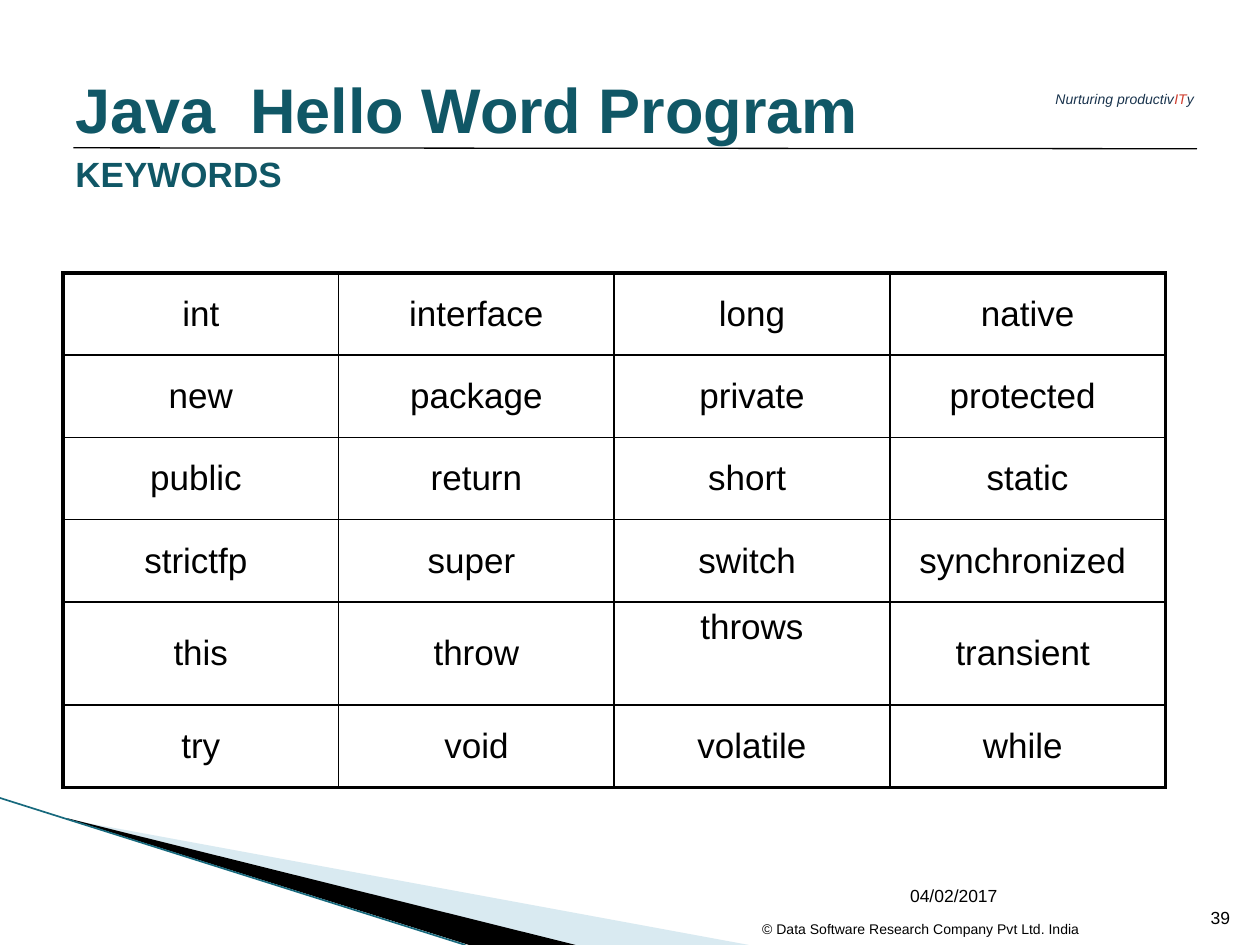
import pptx
import pptx.util
import pptx.dml.color
import pptx.enum.text
import pptx.enum.shapes
import pptx.oxml
import pptx.oxml.ns

Pt = pptx.util.Pt
RGB = pptx.dml.color.RGBColor.from_string
ALIGN = pptx.enum.text.PP_ALIGN
ANCHOR = pptx.enum.text.MSO_ANCHOR
NS = pptx.oxml.ns.nsdecls("a")

# Content
WORDS = [
    ["int", "interface", "long", "native"],
    ["new", "package", "private", "protected "],
    ["public ", "return", "short ", "static"],
    ["strictfp ", "super ", "switch ", "synchronized "],
    ["this", "throw", "throws", "transient "],
    ["try", "void", "volatile", "while "],
]
TOP_WORD = "throws"  # the one cell set at the top
TALL_ROW = 4

THEME = {
    "font": "Arial",
    "ink": "000000", "teal": "105766", "navy": "19334D", "red": "D03D2E",
    "pale": "A0CBDC", "edge": "17697D", "paper": "FFFFFF",
    "title": 36, "body": 20, "date": 10, "small": 8,
    "frame": 2.25, "grid": 1,
}

# Runs, box (left, top, width, height), size, format, align, anchor
TEXTS = [
    ([("Nurturing productiv", "navy"), ("IT", "red"), ("y", "navy")],
     (596, 48, 96, 17), "small", {"italic": True}, ALIGN.LEFT, ANCHOR.TOP),
    ([("© Data Software Research Company Pvt Ltd. India", "ink")],
     (428.4, 522.7, 248.4, 17), "small", {}, ALIGN.LEFT, ANCHOR.TOP),
    ([("KEYWORDS", "teal")],
     (36, 78, 648, 42), "body", {"bold": True}, ALIGN.LEFT, ANCHOR.MIDDLE),
    ([("Java  Hello Word Program", "teal")],
     (36, 34, 618, 56), "title", {"bold": True}, ALIGN.LEFT, ANCHOR.MIDDLE),
    ([("04/02/2017", "ink")],
     (426, 492, 151, 29), "date", {}, ALIGN.RIGHT, ANCHOR.BOTTOM),
    ([("39", "ink")],
     (681, 505, 29, 29), "date", {}, ALIGN.RIGHT, ANCHOR.BOTTOM),
]

# Corner wedges: points, colour, opacity in percent
WEDGES = [
    ([(40, 468.5), (428, 540), (328, 540), (40, 468)], "pale", 40),
    ([(38, 467.5), (329, 540), (268, 540), (39, 468)], "ink", 100),
]

# Lines: start, end, colour, width
LINES = [
    ((0, 456), (266, 540), "edge", 0.95),
    ((42, 84.5), (684, 85), "ink", 0.75),
]


def set_all(item, vals):
    for key, val in vals.items():
        setattr(item, key, val)


def paint(fill, hue, alpha, node):
    fill.solid()
    fill.fore_color.rgb = RGB(THEME[hue])
    if alpha < 100:
        tint = node.find(".//" + pptx.oxml.ns.qn("a:srgbClr"))
        tint.append(pptx.oxml.parse_xml(f'<a:alpha {NS} val="{alpha * 1000}"/>'))


def write(para, runs, size, look, align):
    para.alignment = align
    for text, hue in runs:
        run = para.add_run()
        run.text = text
        set_all(run.font, {"name": THEME["font"], "size": Pt(THEME[size]), **look})
        run.font.color.rgb = RGB(THEME[hue])


def add_wedge(slide, points, hue, alpha):
    spots = [(Pt(x), Pt(y)) for x, y in points]
    pen = slide.shapes.build_freeform(*spots[0])
    pen.add_line_segments(spots[1:], close=True)
    shape = pen.convert_to_shape()
    shape.shadow.inherit = False
    shape.line.fill.background()
    paint(shape.fill, hue, alpha, shape.fill._xPr)


def add_line(slide, start, end, hue, width):
    kind = pptx.enum.shapes.MSO_CONNECTOR.STRAIGHT
    line = slide.shapes.add_connector(kind, *map(Pt, start + end))
    line.line.width = Pt(width)
    line.line.color.rgb = RGB(THEME[hue])
    line._element.spPr.append(pptx.oxml.parse_xml(f"<a:effectLst {NS}/>"))


def add_text(slide, runs, box, size, look, align, anchor):
    frame = slide.shapes.add_textbox(*map(Pt, box)).text_frame
    set_all(frame, {"word_wrap": True, "vertical_anchor": anchor})
    write(frame.paragraphs[0], runs, size, look, align)


def add_edges(cell, outer):
    props = cell._tc.get_or_add_tcPr()
    for side, out in outer.items():
        width = Pt(THEME["frame" if out else "grid"])
        props.append(pptx.oxml.parse_xml(
            f'<a:ln{side} {NS} w="{width}"><a:solidFill>'
            f'<a:srgbClr val="{THEME["ink"]}"/></a:solidFill></a:ln{side}>'))


def add_words(slide):
    rows, cols = len(WORDS), len(WORDS[0])
    table = slide.shapes.add_table(
        rows, cols, Pt(36), Pt(156), Pt(630), Pt(294)).table
    set_all(table, {"first_row": False, "horz_banding": False})
    for col in table.columns:
        col.width = Pt(630 / cols)
    for r, line in enumerate(WORDS):
        table.rows[r].height = Pt(59 if r == TALL_ROW else 47)
        for c, word in enumerate(line):
            cell = table.cell(r, c)
            high = word == TOP_WORD
            cell.vertical_anchor = ANCHOR.TOP if high else ANCHOR.MIDDLE
            write(cell.text_frame.paragraphs[0], [(word, "ink")],
                  "body", {}, ALIGN.CENTER)
            # Fill goes last, so its colour is tinted before edges exist
            paint(cell.fill, "paper", 50, cell._tc.tcPr)
            fill = cell._tc.tcPr.find(pptx.oxml.ns.qn("a:solidFill"))
            add_edges(cell, {"L": c == 0, "R": c == cols - 1,
                             "T": r == 0, "B": r == rows - 1})
            cell._tc.tcPr.append(fill)  # edges must come before the fill


def main():
    deck = pptx.Presentation()
    set_all(deck, {"slide_width": Pt(720), "slide_height": Pt(540)})
    slide = deck.slides.add_slide(deck.slide_layouts[6])
    # Backdrop
    for wedge in WEDGES:
        add_wedge(slide, *wedge)
    for line in LINES:
        add_line(slide, *line)
    # Keyword table and texts
    add_words(slide)
    for text in TEXTS:
        add_text(slide, *text)
    deck.save("out.pptx")


if __name__ == "__main__":
    main()
